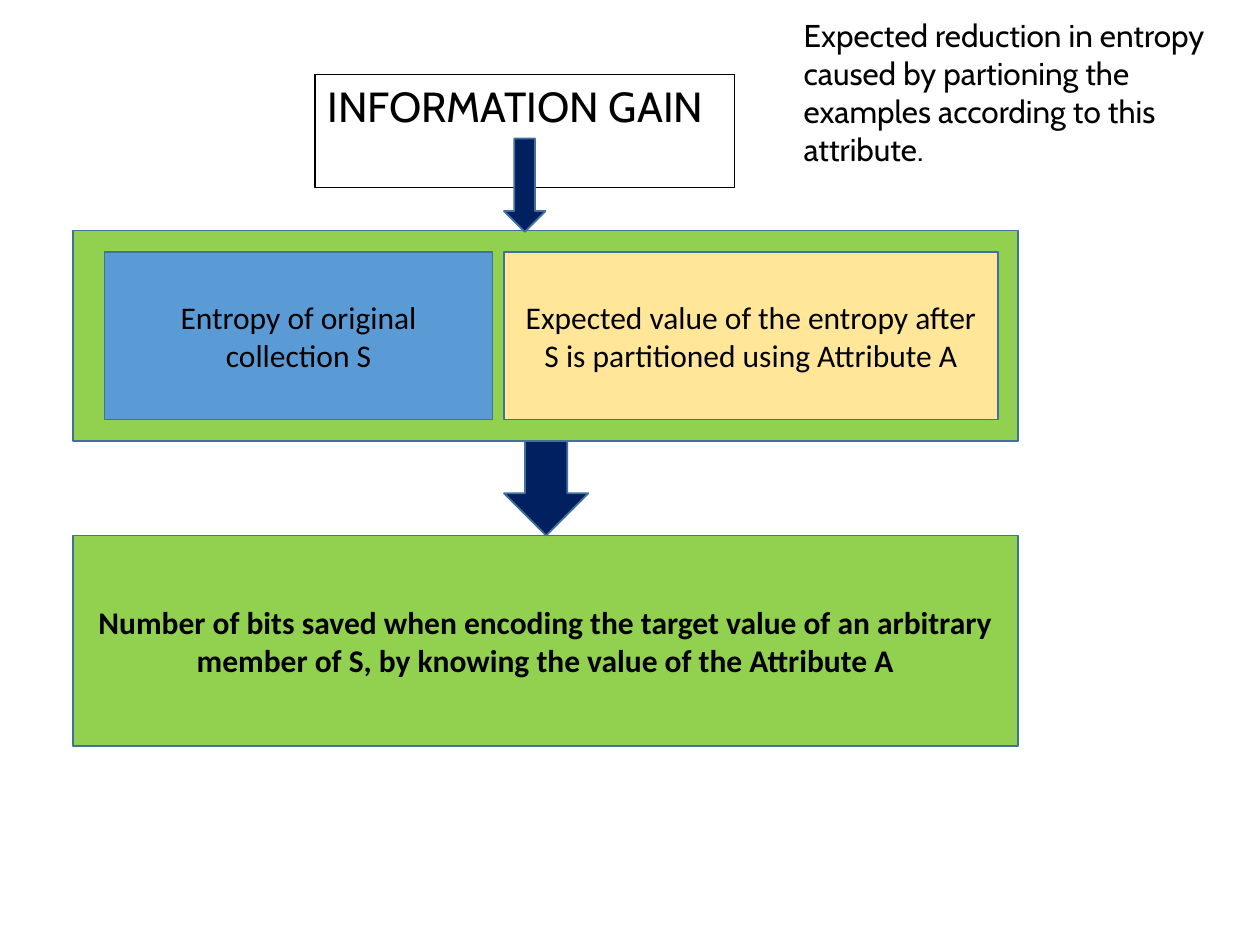
"""Build the information gain slide."""
from pptx import Presentation
from pptx.dml.color import RGBColor
from pptx.enum.shapes import MSO_SHAPE
from pptx.enum.text import MSO_ANCHOR, PP_ALIGN
from pptx.util import Inches, Pt

RECT, ARROW = MSO_SHAPE.RECTANGLE, MSO_SHAPE.DOWN_ARROW
TOP, MIDDLE = MSO_ANCHOR.TOP, MSO_ANCHOR.MIDDLE
LEFT, CENTER = PP_ALIGN.LEFT, PP_ALIGN.CENTER
BLACK = RGBColor(0x00, 0x00, 0x00)
GREEN = RGBColor(0x92, 0xD0, 0x50)
BLUE = RGBColor(0x5B, 0x9B, 0xD5)
CREAM = RGBColor(0xFF, 0xE6, 0x99)
NAVY = RGBColor(0x00, 0x20, 0x60)
EDGE = RGBColor(0x41, 0x71, 0x9C)


class Board:
    head_font, body_font = "Cabin", "Calibri"
    head_size, body_size = 24, 18

    def __init__(self, slide):
        self.slide = slide

    def shape(self, kind, place, fill, edge=EDGE, width=1):
        item = self.slide.shapes.add_shape(kind, *map(Inches, place))
        item.shadow.inherit = False
        if fill is None:
            item.fill.background()
        else:
            item.fill.solid()
            item.fill.fore_color.rgb = fill
        item.line.color.rgb = edge
        item.line.width = Pt(width)
        return item

    def label(self, item, text, font, size, align, anchor, bold=False):
        frame = item.text_frame
        frame.word_wrap = True
        frame.vertical_anchor = anchor
        frame.text = text
        for para in frame.paragraphs:
            para.alignment = align
            for run in para.runs:
                run.font.name = font
                run.font.size = Pt(size)
                run.font.bold = bold
                run.font.color.rgb = BLACK

    def box(self, place, fill, text="", bold=False):
        item = self.shape(RECT, place, fill)
        if text:
            self.label(item, text, self.body_font, self.body_size, CENTER, MIDDLE, bold)

    def title(self, place, text):
        item = self.shape(RECT, place, None, BLACK, 0.75)
        self.label(item, text, self.head_font, self.head_size, LEFT, TOP)

    def arrow(self, place):
        self.shape(ARROW, place, NAVY)

    def note(self, place, text):
        item = self.slide.shapes.add_textbox(*map(Inches, place))
        self.label(item, text, self.head_font, self.body_size, LEFT, TOP)


def main():
    deck = Presentation()
    deck.slide_width, deck.slide_height = Inches(10), Inches(7.5)
    board = Board(deck.slides.add_slide(deck.slide_layouts[6]))
    board.box((0.58, 1.83, 7.5, 1.67), GREEN)
    board.box((0.83, 2, 3.08, 1.33), BLUE, "Entropy of original collection S")
    board.box((4, 2, 3.92, 1.33), CREAM,
              "Expected value of the entropy after S is partitioned using Attribute A")
    board.title((2.5, 0.59, 3.33, 0.9), "INFORMATION GAIN")
    board.box((0.58, 4.25, 7.5, 1.67), GREEN,
              "Number of bits saved when encoding the target value of an arbitrary "
              "member of S, by knowing the value of the Attribute A", bold=True)
    board.arrow((4, 3.5, 0.67, 0.75))
    board.arrow((4, 1.1, 0.33, 0.74))
    board.note((6.28, 0.08, 3.88, 1.3),
               "Expected reduction in entropy\ncaused by partioning the\n"
               "examples according to this\nattribute.")
    deck.save("out.pptx")


if __name__ == "__main__":
    main()
